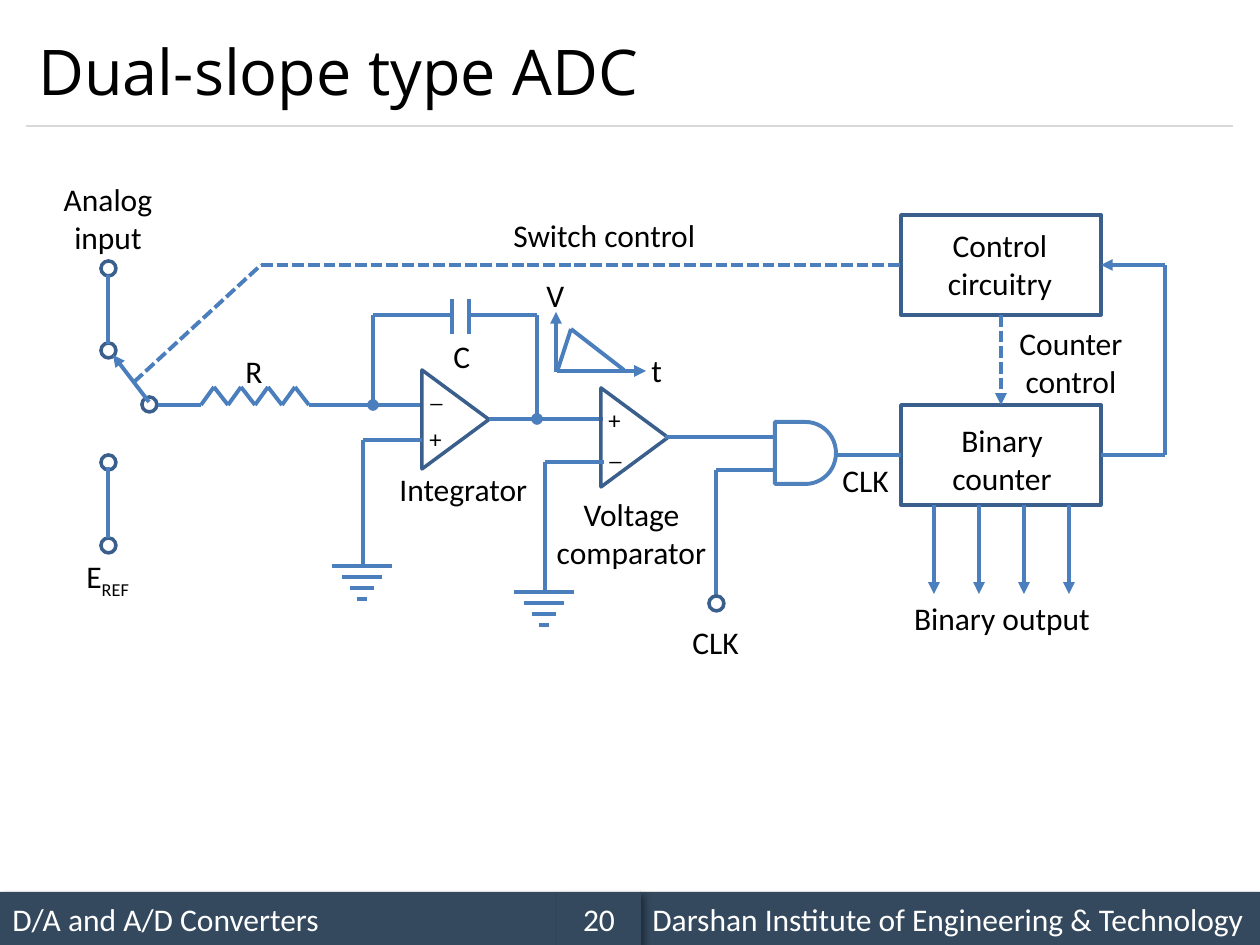
from dataclasses import dataclass
from typing import Any

from lxml import etree
from pptx import Presentation
from pptx.dml.color import RGBColor
from pptx.enum.dml import MSO_LINE
from pptx.enum.shapes import MSO_CONNECTOR, MSO_SHAPE
from pptx.enum.text import MSO_ANCHOR, PP_ALIGN
from pptx.oxml.ns import qn
from pptx.util import Emu, Pt

RECT, OVAL = MSO_SHAPE.RECTANGLE, MSO_SHAPE.OVAL
TRI, DELAY = MSO_SHAPE.ISOSCELES_TRIANGLE, MSO_SHAPE.FLOWCHART_DELAY
STRAIGHT, DASH = MSO_CONNECTOR.STRAIGHT, MSO_LINE.SQUARE_DOT
LEFT, MID = PP_ALIGN.LEFT, PP_ALIGN.CENTER
TOP, CENTER = MSO_ANCHOR.TOP, MSO_ANCHOR.MIDDLE
WIRE, EDGE, GATE = "4B7EBC", "3A5F8C", "4F81BD"
BAR, RULE, INK, WHITE = "34495E", "D9D9D9", "000000", "FFFFFF"
SCALE = 914400 // 126


@dataclass
class Box:
    shapes: Any
    x: int
    y: int

    def place(self, x, y):
        return px(self.x + x), px(self.y + y)


def px(n):
    return Emu(n * SCALE)


def tint(code):
    return RGBColor.from_string(code)


def style(item, **values):
    for name, value in values.items():
        setattr(item, name, value)


def write(frame, text, sub="", size=18, face="Calibri", color=INK,
          align=LEFT, anchor=TOP):
    style(frame, word_wrap=True, vertical_anchor=anchor)
    for i, line in enumerate(text.split("\n")):
        par = frame.add_paragraph() if i else frame.paragraphs[0]
        par.alignment = align
        for part in filter(None, (line, sub)):
            run = par.add_run()
            run.text = part
            style(run.font, name=face, size=Pt(size))
            run.font.color.rgb = tint(color)
            if part == sub:
                run.font._element.set("baseline", "-25000")


def label(box, text, x, y, w, h=50, **look):
    item = box.shapes.add_textbox(*box.place(x, y), px(w), px(h))
    write(item.text_frame, text, **look)


def shape(box, kind, x, y, w, h, line=EDGE, width=2, fill=None):
    item = box.shapes.add_shape(kind, *box.place(x, y), px(w), px(h))
    item.shadow.inherit = False
    if fill:
        item.fill.solid()
        item.fill.fore_color.rgb = tint(fill)
        item.line.fill.background()
    else:
        item.fill.background()
        item.line.color.rgb = tint(line)
        item.line.width = Pt(width)
    return item


def wire(box, points, tail=None, dash=None, begin=None, end=None,
         color=WIRE, width=2.25):
    """Straight lines through the points; tail marks the last end."""
    for a, b in zip(points, points[1:]):
        item = box.shapes.add_connector(STRAIGHT, *box.place(*a), *box.place(*b))
        item.line.color.rgb = tint(color)
        style(item.line, width=Pt(width), dash_style=dash)
        if begin and a == points[0]:
            item.begin_connect(*begin)
        if b == points[-1]:
            if end:
                item.end_connect(*end)
            if tail:
                etree.SubElement(item.line._ln, qn("a:tailEnd"), type=tail)
        etree.SubElement(item._element.spPr, qn("a:effectLst"))


def pin(box, x, y):
    shape(box, OVAL, x, y, 15, 15)


def earth(box, x, y):
    for i, half in enumerate((30, 20, 12, 5)):
        wire(box, [(x - half, y + 11 * i), (x + half, y + 11 * i)])


def opamp(box, x, y, minus, plus):
    # Turned a quarter, so width and height swap about the centre
    item = shape(box, TRI, x - 16, y + 16, 99, 67)
    item.rotation = 90
    label(box, "_", x - 4, y + minus, 37, 43, size=14)
    label(box, "+", x - 5, y + plus, 37, 43, size=14)


def header(box):
    label(box, "Dual-slope type ADC", 0, 0, 1207, 111, size=36,
          face="Open Sans", anchor=CENTER)
    wire(box, [(0, 111), (1207, 111)], color=RULE, width=0.75)


def footer(box):
    parts = (("D/A and A/D Converters", 0, 557, LEFT),
             ("Darshan Institute of Engineering & Technology", 640, 620, LEFT),
             ("20", 557, 84, MID))
    for text, x, w, align in parts:
        item = shape(box, RECT, x, 0, w, 53, fill=BAR)
        glow = etree.SubElement(
            item._element.spPr.find(qn("a:effectLst")), qn("a:outerShdw"),
            blurRad=str(Pt(4)), dist=str(Pt(3)), dir="2700000", rotWithShape="0")
        shade = etree.SubElement(glow, qn("a:srgbClr"), val=INK)
        etree.SubElement(shade, qn("a:alpha"), val="40000")
        write(item.text_frame, text, color=WHITE, align=align, anchor=CENTER)


def control(box):
    logic = shape(box, RECT, 9, 0, 200, 100)
    count = shape(box, RECT, 9, 190, 200, 100)
    label(box, "Control\ncircuitry", 40, 5, 136, 90, align=MID)
    label(box, "Binary\ncounter", 42, 200, 136, 90, align=MID)
    wire(box, [(109, 100), (109, 190)], "triangle", DASH, (logic, 2), (count, 0))
    label(box, "Counter\ncontrol", 111, 103, 136, 90, align=MID)
    wire(box, [(209, 240), (273, 240), (273, 50), (209, 50)], "triangle",
         begin=(count, 3), end=(logic, 3))
    # Output bits
    for i in range(4):
        x = 42 + 45 * i
        wire(box, [(x, 290), (x, 379)], "triangle")
    label(box, "Binary output", 0, 378, 220, align=MID)
    return logic, count


def switch(box, logic):
    label(box, "Analog\ninput", 0, 0, 136, 90, align=MID)
    for y in (87, 169, 281, 364):
        pin(box, 61, y)
    pin(box, 102, 223)
    wire(box, [(68, 101), (68, 170)])
    wire(box, [(68, 293), (68, 364)])
    wire(box, [(109, 228), (73, 181)], "triangle")
    wire(box, [(94, 208), (221, 91), (861, 91)], dash=DASH, end=(logic, 1))
    label(box, "Switch control", 461, 36, 216)
    label(box, "E", 34, 377, 77, sub="REF")


def integrator(box):
    # Resistor
    teeth = [(51 + 27 * i // 2, 97 if i % 2 else 115) for i in range(9)]
    wire(box, [(8, 115), *teeth, (272, 115)])
    label(box, "R", 83, 56, 43)
    # Capacitor in the feedback loop
    for x in (302, 319):
        wire(box, [(x, 9), (x, 44)])
    wire(box, [(302, 25), (223, 25), (223, 115)], "oval")
    wire(box, [(319, 25), (387, 25), (387, 129)], "oval")
    label(box, "C", 291, 41, 43)
    # Amplifier
    opamp(box, 272, 80, 2, 48)
    wire(box, [(339, 129), (453, 129)])
    wire(box, [(272, 150), (213, 150), (213, 276)])
    earth(box, 212, 276)
    label(box, "Integrator", 237, 174, 159)


def wave(box):
    wire(box, [(23, 101), (112, 101)], "triangle")
    wire(box, [(22, 102), (22, 42)], "triangle")
    wire(box, [(24, 99), (37, 59), (90, 100)])
    label(box, "t", 105, 75, 37)
    label(box, "V", 0, 0, 42)


def compare(box):
    opamp(box, 86, 8, 42, 11)
    wire(box, [(150, 57), (260, 57)])
    wire(box, [(89, 82), (30, 82), (30, 212)])
    earth(box, 29, 212)
    label(box, "Voltage\ncomparator", 24, 109, 185, 90, align=MID)


def clock(box, count):
    shape(box, DELAY, 95, 7, 61, 62, GATE, 2.25)
    wire(box, [(95, 55), (36, 55), (36, 181)])
    pin(box, 29, 181)
    label(box, "CLK", 0, 202, 77)
    wire(box, [(157, 40), (221, 40)], end=(count, 1))
    label(box, "CLK", 150, 40, 77)


def main():
    deck = Presentation()
    style(deck, slide_width=px(1260), slide_height=px(945))
    shapes = deck.slides.add_slide(deck.slide_layouts[6]).shapes
    footer(Box(shapes, 0, 892))
    header(Box(shapes, 26, 15))
    logic, count = control(Box(shapes, 892, 215))
    switch(Box(shapes, 40, 174), logic)
    integrator(Box(shapes, 150, 290))
    wave(Box(shapes, 534, 270))
    compare(Box(shapes, 515, 380))
    clock(Box(shapes, 680, 415), count)
    deck.save("out.pptx")


if __name__ == "__main__":
    main()
